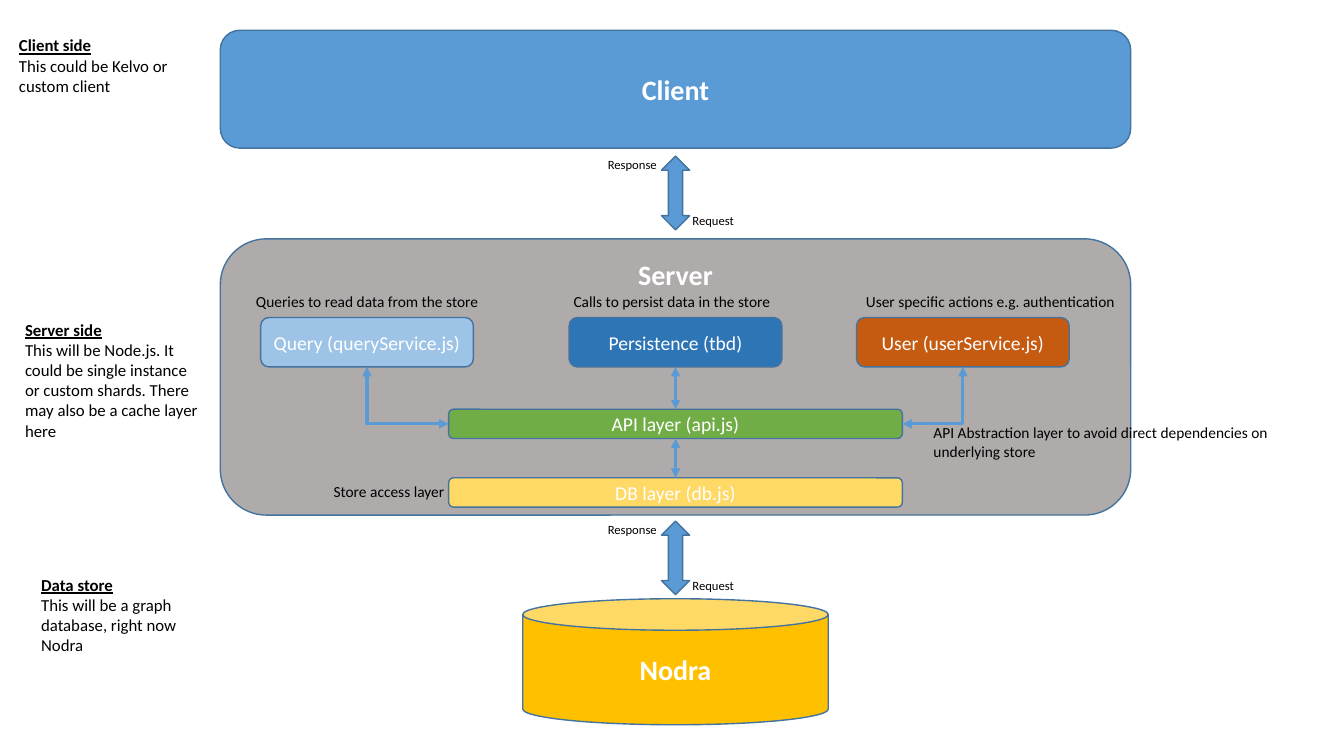
from lxml.etree import SubElement
from pptx import Presentation
from pptx.dml.color import RGBColor
from pptx.enum.shapes import MSO_CONNECTOR as CXN, MSO_SHAPE as SHAPE
from pptx.enum.text import MSO_ANCHOR as ANCHOR, MSO_AUTO_SIZE as AUTO, PP_ALIGN as ALIGN
from pptx.oxml.ns import qn
from pptx.util import Inches, Pt

WIDTH, HEIGHT = 13.33, 7.5
MID = 6.7                                  # axis shared by all tiers
BLUE, EDGE, WHITE, BLACK = "5B9BD5", "43739E", "FFFFFF", "000000"

# name, shape, top, width, height, fill, text anchor
TIERS = [
    ("Client", SHAPE.ROUNDED_RECTANGLE, 0.3, 9.03, 1.17, BLUE, ANCHOR.MIDDLE),
    ("Server", SHAPE.ROUNDED_RECTANGLE, 2.37, 9.03, 2.74, "AFABAB", ANCHOR.TOP),
    ("Nodra", SHAPE.CAN, 5.94, 3.03, 1.25, "FFC000", ANCHOR.MIDDLE),
]
EXCHANGE_TOPS = [1.55, 5.17]
# name, offset of the centre from the axis, fill
SERVICES = [
    ("Query (queryService.js)", -3.06, "9DC3E6"),
    ("Persistence (tbd)", 0, "2E75B6"),
    ("User (userService.js)", 2.85, "C55A11"),
]
# name, top, fill
LAYERS = [("API layer (api.js)", 4.06, "70AD47"), ("DB layer (db.js)", 4.74, "FFD966")]
# heading, text, left, top
SIDE_NOTES = [
    ("Client side", "This could be Kelvo or custom client", 0.09, 0.3),
    ("Server side", "This will be Node.js. It could be single instance or custom shards. "
     "There may also be a cache layer here", 0.15, 3.12),
    ("Data store", "This will be a graph database, right now Nodra", 0.31, 5.65),
]
# text, left, top, width, height
CAPTIONS = [
    ("Queries to read data from the store", 2.44, 2.85, 2.48, 0.29),
    ("Calls to persist data in the store", 5.59, 2.85, 2.2, 0.29),
    ("User specific actions e.g. authentication", 8.49, 2.85, 3.07, 0.29),
    ("Store access layer", 3.21, 4.73, 1.4, 0.29),
    ("API Abstraction layer to avoid direct dependencies on underlying store",
     9.16, 4.15, 3.75, 0.47),
]

prs = Presentation()
prs.slide_width, prs.slide_height = Inches(WIDTH), Inches(HEIGHT)
shapes = prs.slides.add_slide(prs.slide_layouts[6]).shapes


def rgb(color):
    return RGBColor.from_string(color)


def write(p, text, size=11, color=BLACK, bold=False, underline=False, align=ALIGN.LEFT):
    p.alignment = align
    r = p.add_run()
    r.text = text
    f = r.font
    f.name, f.size, f.bold, f.underline = "Calibri", Pt(size), bold, underline
    f.color.rgb = rgb(color)


def add_box(kind, top, width, height, fill, center=MID, text="", size=14, bold=False,
            anchor=ANCHOR.MIDDLE):
    s = shapes.add_shape(kind, Inches(center - width / 2), Inches(top),
                         Inches(width), Inches(height))
    s.shadow.inherit = False
    s.fill.solid()
    s.fill.fore_color.rgb = rgb(fill)
    s.line.color.rgb = rgb(EDGE)
    s.line.width = Pt(1)
    s.text_frame.vertical_anchor = anchor
    if text:
        write(s.text_frame.paragraphs[0], text, size, WHITE, bold, align=ALIGN.CENTER)
    return s


def add_label(left, top, width, height):
    tf = shapes.add_textbox(Inches(left), Inches(top), Inches(width), Inches(height)).text_frame
    tf.word_wrap = True
    tf.auto_size = AUTO.SHAPE_TO_FIT_TEXT
    return tf


def link(begin, begin_site, end, end_site, kind=CXN.STRAIGHT):
    """Join two boxes with a double arrow; sites run 0 top, 1 left, 2 bottom, 3 right."""
    c = shapes.add_connector(kind, 0, 0, 0, 0)
    c.begin_connect(begin, begin_site)
    c.end_connect(end, end_site)
    c.line.color.rgb = rgb(BLUE)
    c.line.width = Pt(2.25)
    sp_pr = c._element.spPr
    if kind == CXN.ELBOW:                  # a single bend
        sp_pr.find(qn("a:prstGeom")).set("prst", "bentConnector2")
    ln = sp_pr.find(qn("a:ln"))
    for end_tag in ("a:headEnd", "a:tailEnd"):
        SubElement(ln, qn(end_tag), type="triangle")
    SubElement(sp_pr, qn("a:effectLst"))


for name, kind, top, width, height, fill, anchor in TIERS:
    add_box(kind, top, width, height, fill, text=name, size=20, bold=True, anchor=anchor)

for top in EXCHANGE_TOPS:
    add_box(SHAPE.UP_DOWN_ARROW, top, 0.28, 0.73, BLUE)
    for text, left, drop, width in (("Request", 6.77, 0.51, 0.66), ("Response", 5.93, -0.04, 0.76)):
        write(add_label(left, top + drop, width, 0.25).paragraphs[0], text, size=9)

query, persistence, user = [
    add_box(SHAPE.ROUNDED_RECTANGLE, 3.15, 2.11, 0.49, fill, MID + offset, name)
    for name, offset, fill in SERVICES]
api, db = [add_box(SHAPE.ROUNDED_RECTANGLE, top, 4.5, 0.29, fill, text=name)
           for name, top, fill in LAYERS]

link(api, 1, query, 2, CXN.ELBOW)
link(api, 0, persistence, 2)
link(api, 3, user, 2, CXN.ELBOW)
link(api, 2, db, 0)

for heading, text, left, top in SIDE_NOTES:
    tf = add_label(left, top, 1.97, 0.71)
    write(tf.paragraphs[0], heading, size=12, bold=True, underline=True)
    write(tf.add_paragraph(), text, size=12)

for text, *place in CAPTIONS:
    write(add_label(*place).paragraphs[0], text)

prs.save("out.pptx")
